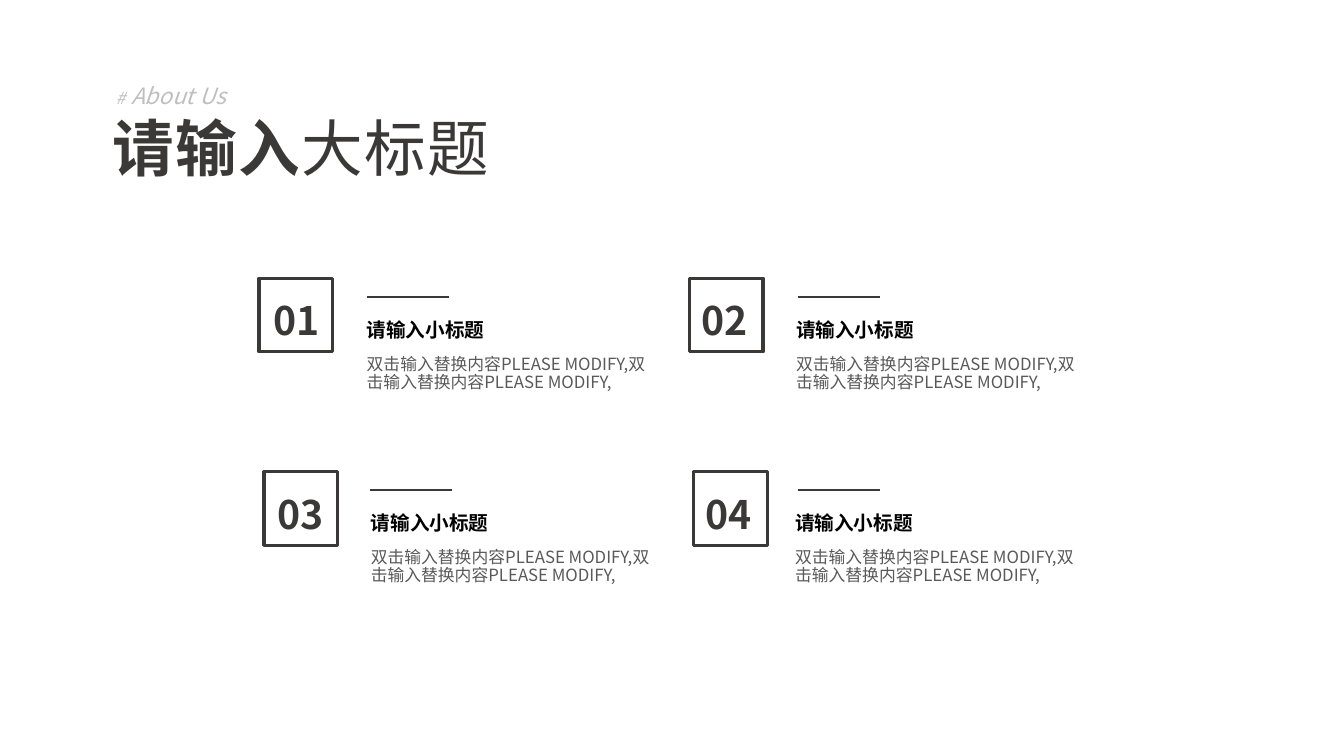
from lxml.etree import SubElement as Sub
from pptx import Presentation
from pptx.dml.color import RGBColor as RGB
from pptx.enum.shapes import MSO_CONNECTOR as Link, MSO_SHAPE as Kind
from pptx.enum.text import MSO_ANCHOR as Anchor, MSO_AUTO_SIZE as Auto, PP_ALIGN as Align
from pptx.oxml.ns import qn
from pptx.util import Pt

FACE = "Noto Sans CJK SC"
HUES = {"dark": "3B3838", "head": "000000", "body": "595959", "pale": "BFBFBF"}
NOTE = "双击输入替换内容PLEASE MODIFY," * 2
ITEMS = [
    ("01", 185, 198.7, 3.6, 77, 69.9),
    ("02", 492.5, 198.7, 1.4, 77.7, 69.1),
    ("03", 188.6, 337, 2.2, 75.6, 69.2),
    ("04", 495.4, 337, 1.4, 74.8, 65.5),
]


def style(font, size, hue, bold=False):
    """Set face, size, colour and weight of a font."""
    font.size, font.bold, font.name = Pt(size), bold, FACE
    font.color.rgb = RGB.from_string(HUES[hue])
    Sub(font._element, qn("a:ea"), typeface=FACE)


def add_text(shapes, box, rows):
    """Add a text box with one paragraph per row of text and style."""
    frame = shapes.add_textbox(*map(Pt, box)).text_frame
    frame.word_wrap = True
    for i, (text, *look) in enumerate(rows):
        para = frame.add_paragraph() if i else frame.paragraphs[0]
        para.text = text
        para.line_spacing = 0.9
        if i:
            para.space_before = Pt(10)
        style(para.font, *look)
    return frame


def add_head(slide, x, y):
    """Place the title and the small tag above it."""
    title = slide.shapes.title
    title.left, title.top, title.width, title.height = map(Pt, (x, y, 583.2, 56.9))
    frame = title.text_frame
    frame.auto_size, frame.vertical_anchor = Auto.NONE, Anchor.MIDDLE
    para = frame.paragraphs[0]
    para.alignment, para.line_spacing = Align.LEFT, 0.9
    for text, bold in (("请输入", True), ("大标题", False)):
        run = para.add_run()
        run.text = text
        style(run.font, 44, "dark", bold)
        run.font._element.set("spc", "100")

    tag = slide.shapes.add_textbox(Pt(x + 2.2), Pt(y - 25.2), Pt(311.8), Pt(29.5)).text_frame
    tag.word_wrap, tag.vertical_anchor = True, Anchor.MIDDLE
    para = tag.paragraphs[0]
    para.line_spacing = Pt(18)
    for text, size in (("#", 12), (" ", 20), ("About Us", 16)):
        run = para.add_run()
        run.text = text
        style(run.font, size, "pale")
        run.font.italic = True


def add_item(slide, num, x, y, inset, rule, body):
    """Place a numbered square with its rule, heading and note."""
    add_text(slide.shapes, (x + body, y + 26.6, 221, 123.8),
             [("请输入小标题", 14, "head", True), (NOTE, 12, "body")])

    badge = slide.shapes.add_group_shape().shapes
    add_text(badge, (x + inset, y + 13.3, 54, 31.7), [(num, 28, "dark", True)])
    square = badge.add_shape(Kind.RECTANGLE, Pt(x), Pt(y), Pt(52.6), Pt(52.6))
    square.shadow.inherit = False
    square.fill.background()
    square.line.color.rgb = RGB.from_string(HUES["dark"])
    square.line.width = Pt(2.25)

    left, top = x + rule, y + 13.3
    line = slide.shapes.add_connector(Link.STRAIGHT, Pt(left), Pt(top), Pt(left + 58.7), Pt(top))
    line.line.color.rgb = RGB.from_string(HUES["dark"])
    line.line.width = Pt(1.5)
    Sub(line._element.spPr, qn("a:effectLst"))


def main():
    """Build and save the slide."""
    deck = Presentation()
    deck.slide_width, deck.slide_height = Pt(960), Pt(540)
    slide = deck.slides.add_slide(deck.slide_layouts[5])
    add_head(slide, 73.4, 79.9)
    for item in ITEMS:
        add_item(slide, *item)
    deck.save("out.pptx")


if __name__ == "__main__":
    main()
